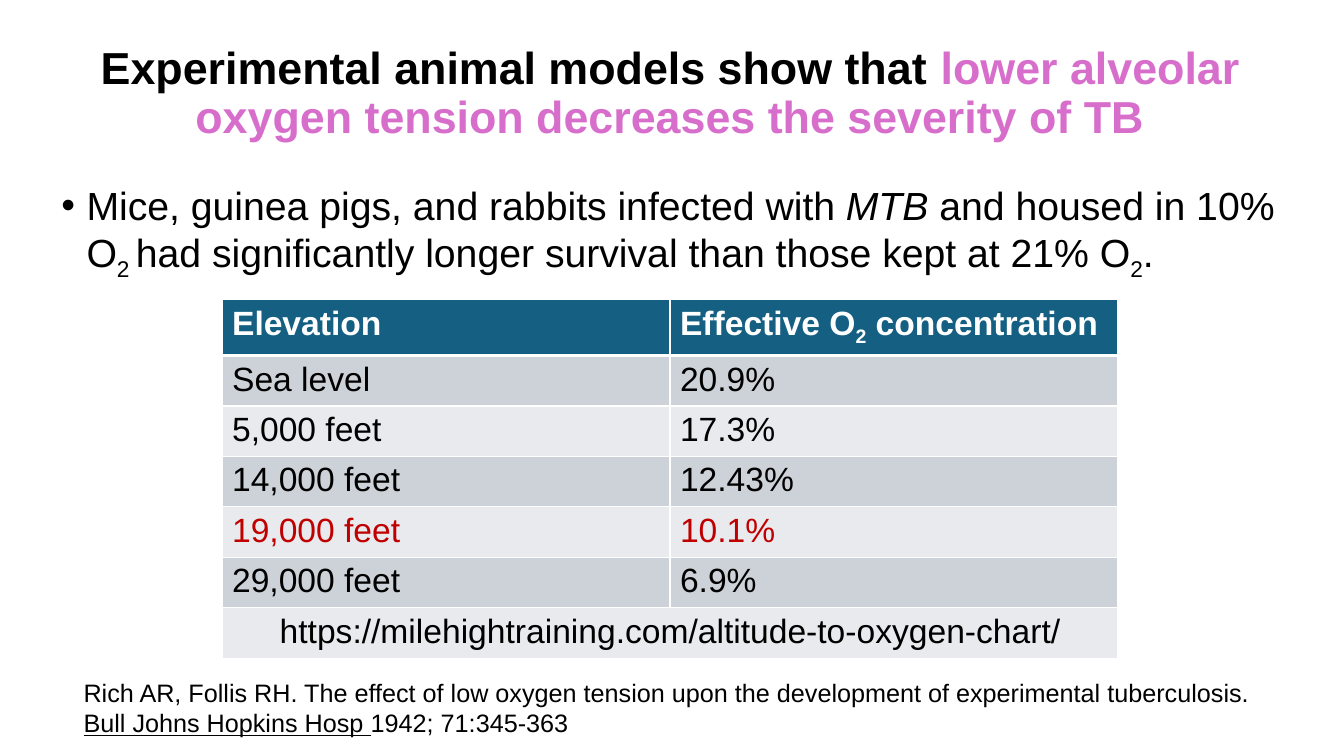
from lxml import etree
from pptx import Presentation
from pptx.dml.color import RGBColor
from pptx.enum import text
from pptx.oxml import ns
from pptx.util import Pt

COLORS = {"black": "000000", "white": "FFFFFF", "pink": "D86ECC", "red": "C00000",
          "header": "156082", "dark": "CCD2D8", "light": "E8EAED"}
SUB = {"sub": True}

prs = Presentation()
prs.slide_width, prs.slide_height = Pt(960), Pt(540)
s = prs.slides.add_slide(prs.slide_layouts[6])


def add_runs(p, runs, **base):
    """Add (text, format) runs that share a base format."""
    for words, extra in runs:
        fmt = {"name": "Arial", "color": "black", **base, **extra}
        r = p.add_run()
        r.text = words
        r.font.color.rgb = RGBColor.from_string(COLORS[fmt.pop("color")])
        if fmt.pop("sub", False):
            r._r.get_or_add_rPr().set("baseline", "-25000")
        for key, value in fmt.items():
            setattr(r.font, key, value)


def add_box(x, y, w, h, anchor=text.MSO_ANCHOR.TOP):
    """Add a wrapping text box and return its text frame."""
    tf = s.shapes.add_textbox(Pt(x), Pt(y), Pt(w), Pt(h)).text_frame
    tf.word_wrap = True
    tf.vertical_anchor = anchor
    return tf


# Title
p = add_box(35.3, 26.6, 887, 82, text.MSO_ANCHOR.MIDDLE).paragraphs[0]
p.alignment, p.line_spacing = text.PP_ALIGN.CENTER, 0.9
add_runs(p, [("Experimental animal models show that ", {}),
             ("lower alveolar oxygen tension decreases the severity of TB", {"color": "pink"})],
         size=Pt(32), bold=True)

# Bullet
p = add_box(36.7, 129.6, 887, 62.6).paragraphs[0]
p.line_spacing, p.space_after = 0.9, Pt(12)
pPr = p._p.get_or_add_pPr()
pPr.set("marL", str(Pt(18)))
pPr.set("indent", str(-Pt(18)))
etree.SubElement(pPr, ns.qn("a:buFont")).set("typeface", "Arial")
etree.SubElement(pPr, ns.qn("a:buChar")).set("char", "•")
add_runs(p, [("Mice, guinea pigs, and rabbits infected with ", {}), ("MTB", {"italic": True}),
             (" and housed in 10% O", {}), ("2 ", SUB),
             ("had significantly longer survival than those kept at 21% O", {}),
             ("2", SUB), (".", {})], size=Pt(28))

# Elevation table
rows = [
    ([("Elevation", {})], [("Effective O", {}), ("2", SUB), (" concentration", {})]),
    ([("Sea level", {})], [("20.9%", {})]),
    ([("5,000 feet", {})], [("17.3%", {})]),
    ([("14,000 feet", {})], [("12.43%", {})]),
    ([("19,000 feet", {})], [("10.1%", {})]),
    ([("29,000 feet", {})], [("6.9%", {})]),
    ([("https://milehightraining.com/altitude-to-oxygen-chart/", {})], []),
]
HIGHLIGHT, SOURCE = 4, len(rows) - 1
row_height = 29.5
table = s.shapes.add_table(len(rows), 2, Pt(158.6), Pt(214), Pt(640),
                           Pt(row_height * len(rows))).table
table.cell(SOURCE, 0).merge(table.cell(SOURCE, 1))
for i, row in enumerate(rows):
    table.rows[i].height = Pt(row_height)
    fill = "header" if i == 0 else "dark" if i % 2 else "light"
    color = "white" if i == 0 else "red" if i == HIGHLIGHT else "black"
    for j, runs in enumerate(row):
        cell = table.cell(i, j)
        # Borders come before the fill; the header rule is thicker
        widths = {"lnL": 1, "lnR": 1, "lnT": 3 if i == 1 else 1, "lnB": 3 if i == 0 else 1}
        for side, width in widths.items():
            ln = etree.SubElement(cell._tc.get_or_add_tcPr(), ns.qn("a:" + side), w=str(Pt(width)))
            solid = etree.SubElement(ln, ns.qn("a:solidFill"))
            etree.SubElement(solid, ns.qn("a:srgbClr"), val=COLORS["white"])
        cell.fill.solid()
        cell.fill.fore_color.rgb = RGBColor.from_string(COLORS[fill])
        add_runs(cell.text_frame.paragraphs[0], runs, size=Pt(24), bold=i == 0, color=color)
table.cell(SOURCE, 0).text_frame.paragraphs[0].alignment = text.PP_ALIGN.CENTER

# Reference
tf = add_box(52.6, 480.2, 856, 51)
add_runs(tf.paragraphs[0], [("Rich AR, Follis RH. The effect of low oxygen tension upon the "
                             "development of experimental tuberculosis.", {})], size=Pt(18))
add_runs(tf.add_paragraph(), [("Bull Johns Hopkins Hosp ", {"underline": True}),
                              ("1942; 71:345-363", {})], size=Pt(18))

prs.save("out.pptx")
